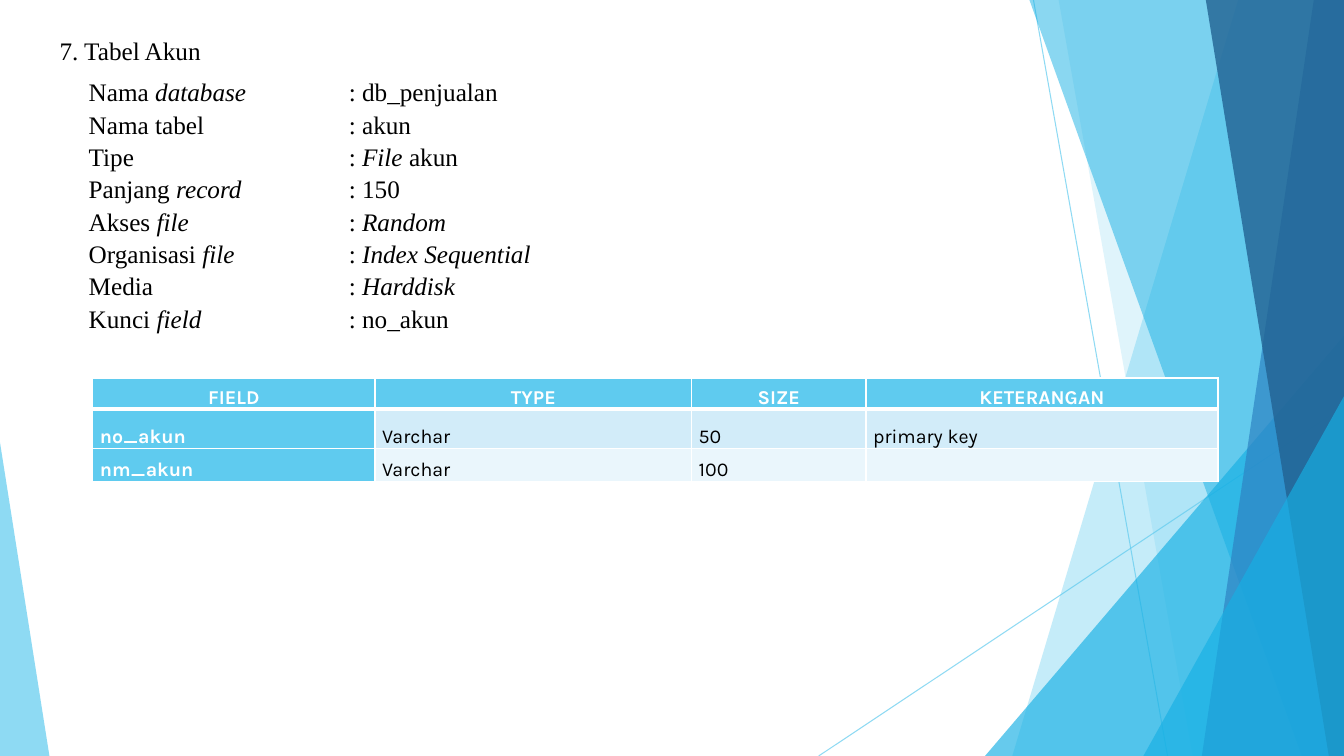
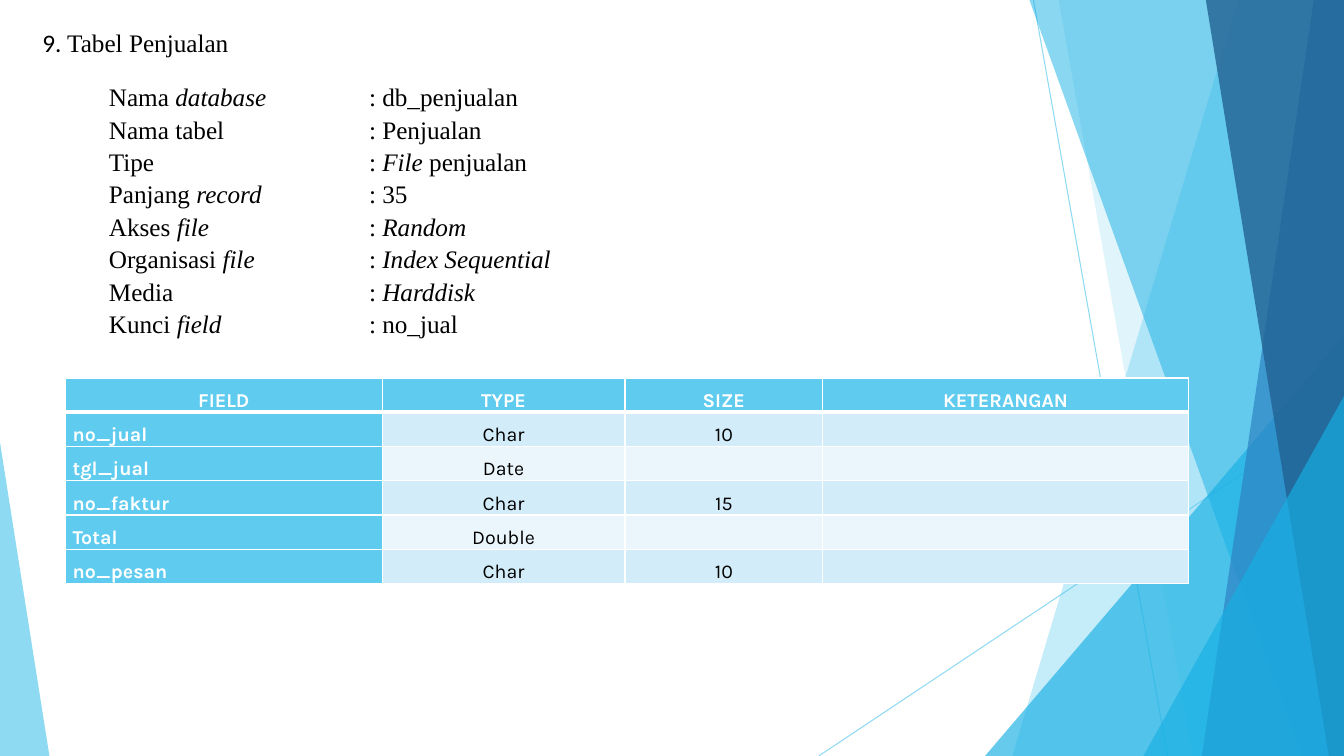
"""Build two slides that describe database tables over a faceted blue backdrop."""
import lxml.etree
import pptx
import pptx.dml.color
import pptx.enum.shapes
import pptx.enum.text
import pptx.oxml.ns
import pptx.util

Inches = pptx.util.Inches
Pt = pptx.util.Pt
qn = pptx.oxml.ns.qn
SubElement = lxml.etree.SubElement
ALIGN = pptx.enum.text.PP_ALIGN
ANCHOR = pptx.enum.text.MSO_ANCHOR

BLACK, WHITE = "000000", "FFFFFF"
SKY, CYAN, BLUE, NAVY = "5FCBEF", "17B0E4", "2E83C3", "226292"
BANDS = ["D2ECF9", "EAF6FC"]
SERIF, SANS, TABLE_FONT = "Times New Roman", "Calibri", "Karla"
WIDTH, HEIGHT = 13.33, 7.5
VALUE_OFFSET = 2.58


def paint(fill, color):
    fill.solid()
    fill.fore_color.rgb = pptx.dml.color.RGBColor.from_string(color)


def set_opacity(shape, percent):
    color = next(shape.element.iter(qn("a:srgbClr")))
    SubElement(color, qn("a:alpha"), val=str(percent * 1000))


rays = [(10.25, 0, 11.58, HEIGHT), (WIDTH, 4.03, 8.12, HEIGHT)]

facets = [
    ("panel", (12.28, WIDTH, WIDTH, 10.04), SKY, 36),
    ("panel", (10.5, WIDTH, WIDTH, 11.83), SKY, 20),
    ("triangle", (9.77, 3.33, 3.56, 1), CYAN, 66),
    ("panel", (10.21, WIDTH, WIDTH, 12.91), CYAN, 50),
    ("panel", (13.03, WIDTH, WIDTH, 11.92), BLUE, 70),
    ("panel", (11.96, WIDTH, WIDTH, 13.18), NAVY, 80),
    ("triangle", (11.34, 3.93, 1.99, 1), CYAN, 66),
    ("triangle", (0, 4.39, 0.49, 0), SKY, 70),
]

pages = [
    {
        "number": "7. ", "number_font": SERIF, "name": "Tabel Akun",
        "title_at": (0.49, 0.28), "details_at": (0.78, 0.69),
        "table": "akun", "file": "akun", "record": "150", "key": "no_akun",
        "table_left": 0.92, "columns": [2.8, 3.14, 1.73, 3.49],
        "heights": [0.31, 0.39, 0.33], "align": ALIGN.LEFT,
        "fields": [
            ("no_akun", "Varchar", "50", "primary key"),
            ("nm_akun", "Varchar", "100", ""),
        ],
    },
    {
        "number": "9. ", "number_font": SANS, "name": "Tabel Penjualan",
        "title_at": (0.32, 0.2), "details_at": (0.98, 0.74),
        "table": "Penjualan", "file": "penjualan", "record": "35", "key": "no_jual",
        "table_left": 0.65, "columns": [3.14, 2.41, 1.96, 3.63],
        "heights": [0.34] * 6, "align": ALIGN.CENTER,
        "fields": [
            ("no_jual", "Char", "10", ""),
            ("tgl_jual", "Date", "", ""),
            ("no_faktur", "Char", "15", ""),
            ("Total", "Double", "", ""),
            ("no_pesan", "Char", "10", ""),
        ],
    },
]

presentation = pptx.Presentation()
presentation.slide_width = Inches(WIDTH)
presentation.slide_height = Inches(HEIGHT)
layout = presentation.slide_layouts[1]
slides = [presentation.slides.add_slide(layout) for page in pages]

shapes = slides[0].shapes
backdrop = []
for ray in rays:
    connector = shapes.add_connector(
        pptx.enum.shapes.MSO_CONNECTOR.STRAIGHT, *[Inches(value) for value in ray])
    paint(connector.line.fill, SKY)
    connector.line.width = Pt(0.75)
    set_opacity(connector, 70)
    SubElement(connector.element.spPr, qn("a:effectLst"))
    backdrop.append(connector)

for kind, geometry, color, opacity in facets:
    if kind == "panel":
        corners = [(Inches(x), Inches(y)) for x, y in zip(geometry, (0, 0, HEIGHT, HEIGHT))]
        builder = shapes.build_freeform(*corners[0])
        builder.add_line_segments(corners[1:], close=True)
        shape = builder.convert_to_shape()
    else:
        left, top, width, apex = geometry
        shape = shapes.add_shape(
            pptx.enum.shapes.MSO_SHAPE.ISOSCELES_TRIANGLE,
            Inches(left), Inches(top), Inches(width), Inches(HEIGHT - top))
        shape.adjustments[0] = apex
    shape.shadow.inherit = False
    shape.line.fill.background()
    paint(shape.fill, color)
    set_opacity(shape, opacity)
    backdrop.append(shape)

for shape in backdrop:
    layout.shapes.element.append(shape.element)
for number, properties in enumerate(layout.shapes.element.iter(qn("p:cNvPr")), 1):
    properties.set("id", str(number))

for slide, page in zip(slides, pages):
    title = slide.shapes.title
    details = slide.placeholders[1]
    for shape, position, size in (
        (title, page["title_at"], (6.68, 0.41)),
        (details, page["details_at"], (6.03, 2.67)),
    ):
        shape.left, shape.top = [Inches(value) for value in position]
        shape.width, shape.height = [Inches(value) for value in size]
        shape.text_frame.auto_size = pptx.enum.text.MSO_AUTO_SIZE.NONE
        shape.text_frame.vertical_anchor = ANCHOR.TOP
        shape.text_frame.word_wrap = True

    paragraph = title.text_frame.paragraphs[0]
    paragraph.alignment = ALIGN.LEFT
    paragraph.line_spacing = 1.07
    for text, font in ((page["number"], page["number_font"]), (page["name"], SERIF)):
        run = paragraph.add_run()
        run.text = text
        run.font.name = font
        run.font.size = Pt(18)
        paint(run.font.fill, BLACK)

    lines = [
        "Nama *database*\t: db_penjualan",
        f"Nama tabel\t: {page['table']}",
        f"Tipe\t: *File* {page['file']}",
        f"Panjang *record*\t: {page['record']}",
        "Akses *file*\t: *Random*",
        "Organisasi *file*\t: *Index Sequential*",
        "Media\t: *Harddisk*",
        f"Kunci *field*\t: {page['key']}",
    ]
    frame = details.text_frame
    for index, line in enumerate(lines):
        paragraph = frame.add_paragraph() if index else frame.paragraphs[0]
        paragraph.alignment = ALIGN.LEFT
        paragraph.line_spacing = Pt(23.1)
        paragraph.space_before = Pt(0)
        properties = paragraph._p.get_or_add_pPr()
        properties.set("marL", "0")
        properties.set("indent", "0")
        properties.set("defTabSz", str(Inches(VALUE_OFFSET)))
        SubElement(properties, qn("a:buNone"))
        for part, text in enumerate(line.split("*")):
            if text:
                run = paragraph.add_run()
                run.text = text
                run.font.name = SERIF
                run.font.size = Pt(18)
                run.font.italic = part % 2 == 1
                paint(run.font.fill, BLACK)

    rows = [("FIELD", "TYPE", "SIZE", "KETERANGAN")] + page["fields"]
    table = slide.shapes.add_table(
        len(rows), len(rows[0]), Inches(page["table_left"]), Inches(3.75),
        Inches(sum(page["columns"])), Inches(sum(page["heights"]))).table
    for column, width in zip(table.columns, page["columns"]):
        column.width = Inches(width)
    for row, height in zip(table.rows, page["heights"]):
        row.height = Inches(height)
    for row_index, row in enumerate(rows):
        for column_index, text in enumerate(row):
            cell = table.cell(row_index, column_index)
            is_header = row_index == 0
            is_heading = is_header or column_index == 0
            cell.vertical_anchor = ANCHOR.BOTTOM
            cell.margin_left = cell.margin_right = Inches(0.07)
            cell.margin_top = cell.margin_bottom = 0
            for side in ("lnL", "lnR", "lnT", "lnB"):
                is_thick = (row_index, side) in ((0, "lnB"), (1, "lnT"))
                border = SubElement(
                    cell._tc.get_or_add_tcPr(), qn("a:" + side), w=str(Pt(3 if is_thick else 1)))
                fill = SubElement(border, qn("a:solidFill"))
                SubElement(fill, qn("a:srgbClr"), val=WHITE)
            paint(cell.fill, SKY if is_heading else BANDS[(row_index - 1) % 2])
            if text:
                cell.text_frame.text = text
                paragraph = cell.text_frame.paragraphs[0]
                paragraph.line_spacing = 1.07
                paragraph.alignment = ALIGN.LEFT if is_heading else page["align"]
                if is_header:
                    paragraph.alignment = ALIGN.CENTER
                font = paragraph.runs[0].font
                font.name = TABLE_FONT
                font.size = Pt(14)
                font.bold = is_heading
                paint(font.fill, WHITE if is_heading else BLACK)

presentation.save("out.pptx")
